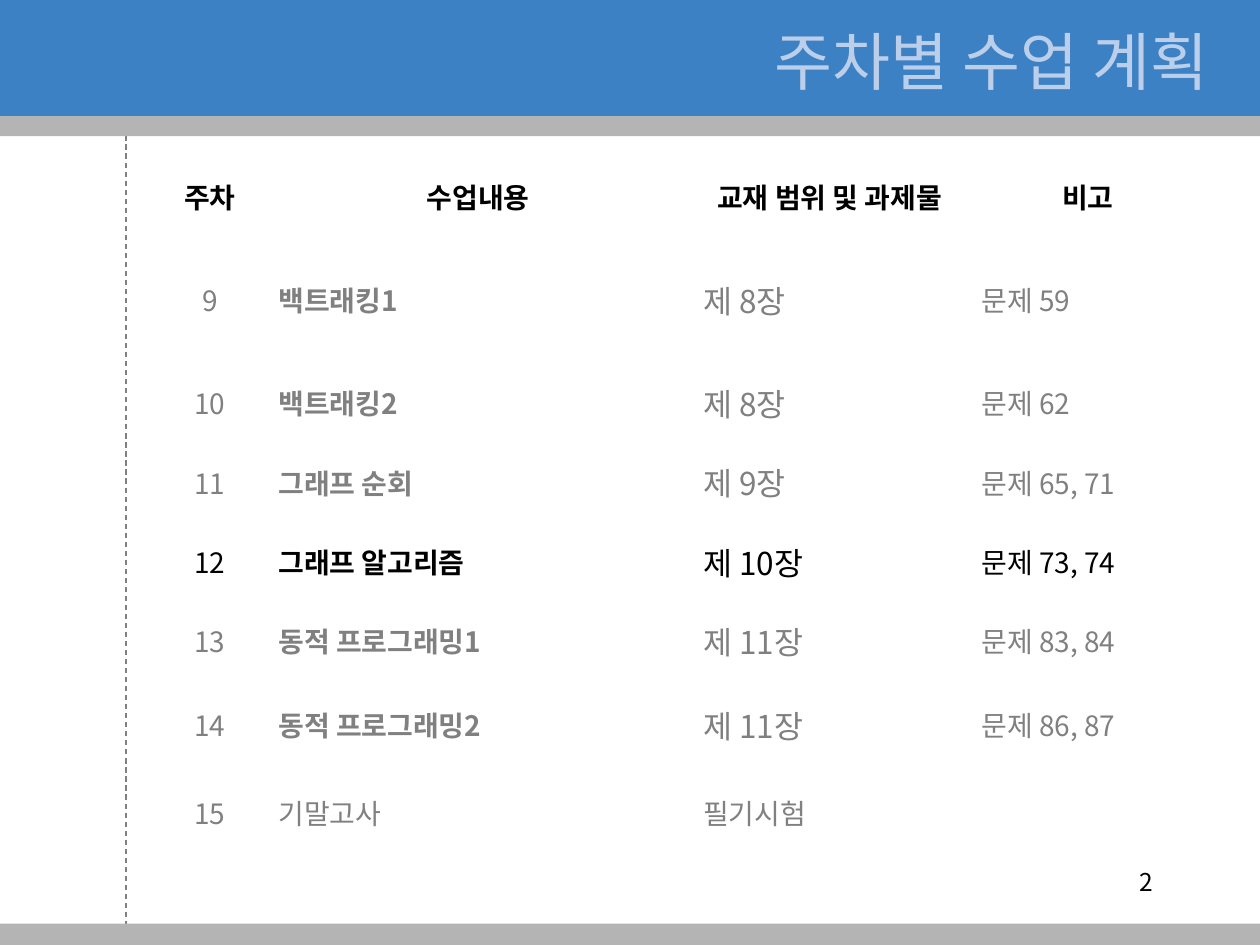
from lxml import etree
from pptx import Presentation
from pptx.dml.color import RGBColor
from pptx.enum import dml, shapes, text
from pptx.oxml import ns
from pptx.util import Inches, Pt

FONT = "Noto Sans CJK KR"
HUE = {"blue": "3D81C5", "pale": "BCCFEA", "band": "B4B4B4",
       "gray": "808080", "black": "000000", "white": "FFFFFF"}
TITLE = "주차별 수업 계획 "
PAGE = "2"
HEAD = ("주차", "수업내용", "교재 범위 및 과제물", "비고")
WEEKS = [
    ("9", "백트래킹1", "제 8장", "문제 59"),
    ("10", "백트래킹2", "제 8장", "문제 62"),
    ("11", "그래프 순회", "제 9장", "문제 65, 71"),
    ("12", "그래프 알고리즘", "제 10장", "문제 73, 74"),
    ("13", "동적 프로그래밍1", "제 11장", "문제 83, 84"),
    ("14", "동적 프로그래밍2", "제 11장", "문제 86, 87"),
    ("15", "기말고사", "필기시험", ""),
]
NOW, EXAM = "12", "15"
COLS = (0.89, 3.37, 2.21, 1.89)
ROWS = (0.63, 1.01, 0.63, 0.63, 0.63, 0.63, 0.7, 0.69)
BARS = [(0.83, 0.25, "band"), (0, 0.92, "blue"), (7.33, 0.17, "band")]
AL = text.PP_ALIGN
SIDES = (AL.CENTER, AL.JUSTIFY, AL.LEFT, AL.LEFT)


def rgb(name):
    return RGBColor.from_string(HUE[name])


def write(frame, words, size, hue, side, bold=False):
    frame.text = words
    para = frame.paragraphs[0]
    para.alignment = side
    for run in para.runs:
        font = run.font
        font.name, font.size, font.bold = FONT, Pt(size), bold
        font.color.rgb = rgb(hue)
        east = etree.SubElement(run._r.get_or_add_rPr(), ns.qn("a:ea"))
        east.set("typeface", FONT)


def add_rule(slide):
    rule = slide.shapes.add_connector(
        shapes.MSO_CONNECTOR.STRAIGHT, Inches(1), 0, Inches(1), Inches(7.5))
    rule.line.color.rgb = rgb("gray")
    rule.line.width = Pt(0.75)
    rule.line.dash_style = dml.MSO_LINE.DASH
    etree.SubElement(rule._element.spPr, ns.qn("a:effectLst"))


def add_bar(slide, top, height, hue):
    bar = slide.shapes.add_shape(shapes.MSO_SHAPE.RECTANGLE, 0, Inches(top),
                                 Inches(10), Inches(height))
    bar.shadow.inherit = False
    bar.fill.solid()
    bar.fill.fore_color.rgb = rgb(hue)
    bar.line.fill.background()


def add_label(slide, box, words, size, hue, anchor):
    frame = slide.shapes.add_textbox(*map(Inches, box)).text_frame
    frame.word_wrap = True
    frame.vertical_anchor = anchor
    write(frame, words, size, hue, AL.RIGHT)
    return frame


def add_plan(slide):
    table = slide.shapes.add_table(
        len(ROWS), len(COLS), Inches(1.22), Inches(1.24),
        Inches(sum(COLS)), Inches(sum(ROWS))).table
    table.first_row = table.horz_banding = False
    for col, width in zip(table.columns, COLS):
        col.width = Inches(width)
    for row, height in zip(table.rows, ROWS):
        row.height = Inches(height)
    for r, line in enumerate([HEAD] + WEEKS):
        head, exam = r == 0, line[0] == EXAM
        hue = "black" if head or line[0] == NOW else "gray"
        for c, words in enumerate(line):
            cell = table.cell(r, c)
            cell.vertical_anchor = text.MSO_ANCHOR.MIDDLE
            cell.fill.solid()
            cell.fill.fore_color.rgb = rgb("white")
            size = 18 if c == 2 and not head and not exam else 16
            bold = head or (c == 1 and not exam)
            side = AL.CENTER if head else SIDES[c]
            write(cell.text_frame, words, size, hue, side, bold)


def main():
    deck = Presentation()
    deck.slide_width, deck.slide_height = Inches(10), Inches(7.5)
    slide = deck.slides.add_slide(deck.slide_layouts[6])
    add_rule(slide)
    for bar in BARS:
        add_bar(slide, *bar)
    title = add_label(slide, (3.82, 0.13, 5.98, 0.7), TITLE, 36, "pale",
                      text.MSO_ANCHOR.MIDDLE)
    title.auto_size = text.MSO_AUTO_SIZE.SHAPE_TO_FIT_TEXT
    add_label(slide, (7.17, 6.83, 2.08, 0.5), PAGE, 14, "black",
              text.MSO_ANCHOR.TOP)
    add_plan(slide)
    deck.save("out.pptx")


if __name__ == "__main__":
    main()
